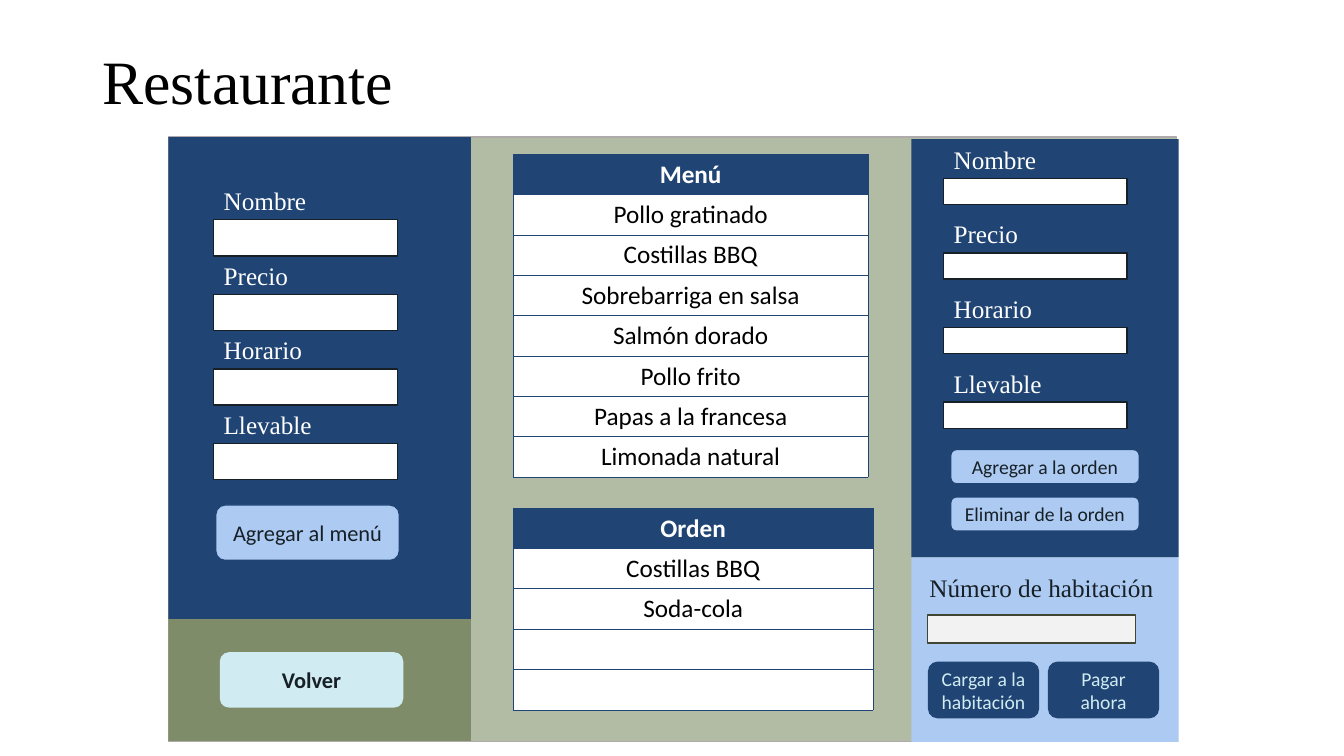
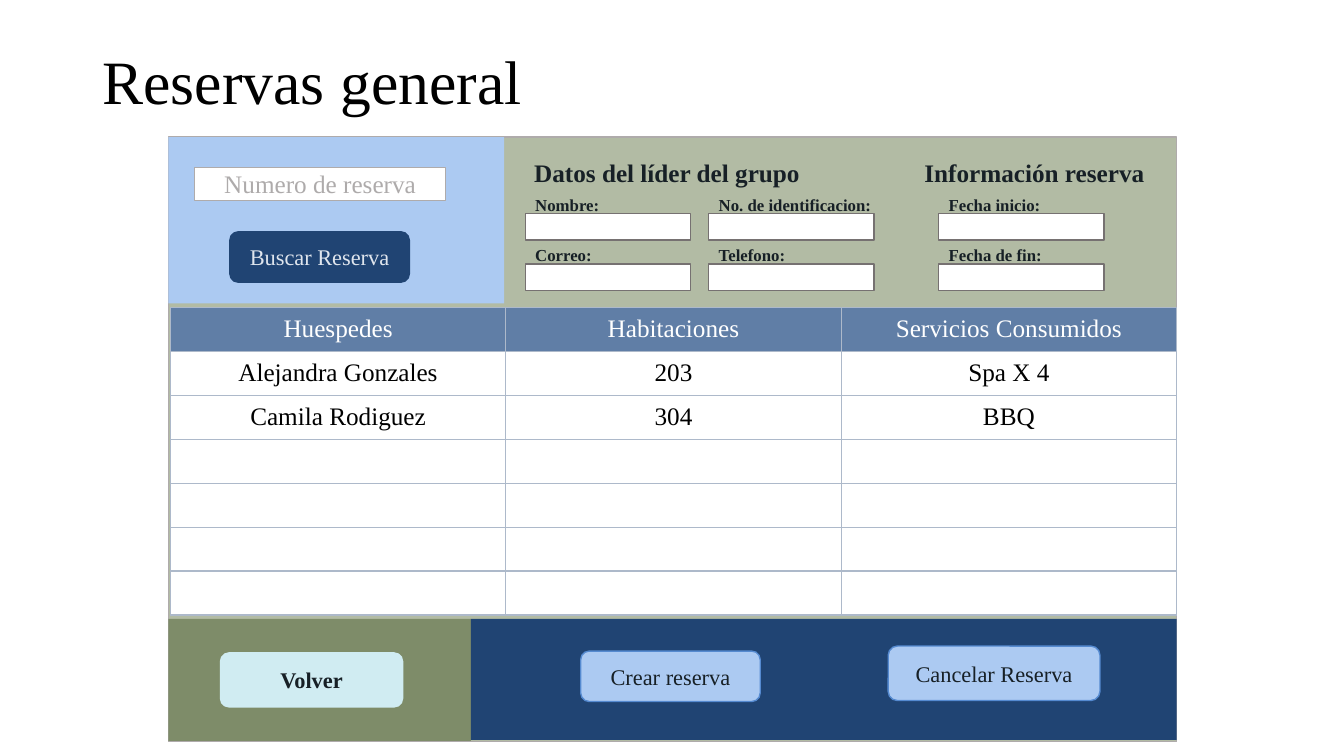
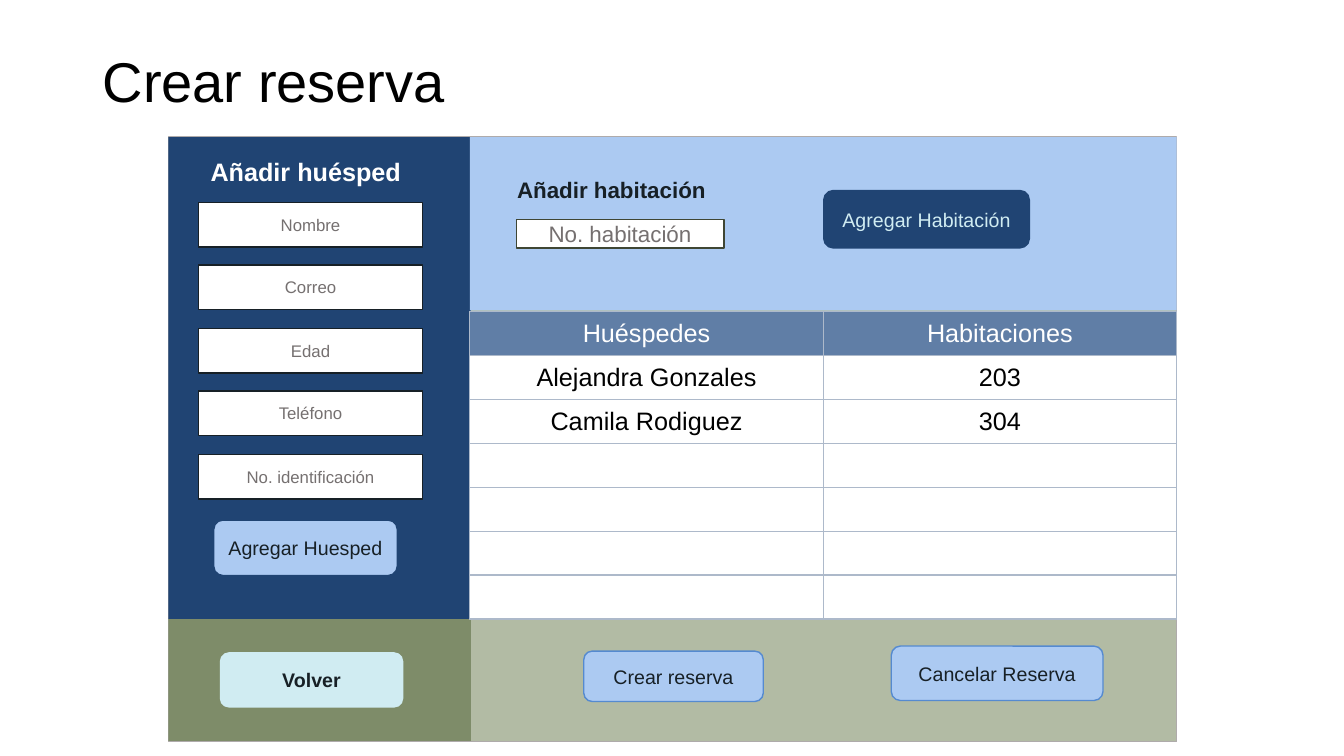
"""Builds three mock-up screens of a hotel management application."""
from lxml.etree import SubElement
from pptx import Presentation
from pptx.dml.color import RGBColor
from pptx.enum.shapes import MSO_SHAPE as Shape
from pptx.enum.text import MSO_ANCHOR as Anchor, PP_ALIGN as Align
from pptx.oxml.ns import qn
from pptx.util import Pt

SCALE = 9144
SERIF, SANS, BODY = "Times New Roman", "Arial", "Calibri"
WHITE, BLACK, INK = "FFFFFF", "000000", "172026"
NAVY, SKY, ICE, STEEL = "204473", "ACCAF2", "D0ECF2", "607EA6"
SAGE, OLIVE, MOSS = "B2BBA4", "7E8C69", "3F4634"
SILVER, GRAY, HINT, EDGE, GRID = "AFABAB", "767171", "757070", "558AD0", "ADB9CA"


def px(length):
    return length * SCALE


def color(code):
    return RGBColor.from_string(code)


def write(frame, text, *, size, font, ink=INK, bold=False, align=Align.CENTER,
          anchor=Anchor.MIDDLE, spacing=None):
    frame.word_wrap = True
    frame.vertical_anchor = anchor
    paragraph = frame.paragraphs[0]
    paragraph.alignment = align
    paragraph.line_spacing = spacing
    run = paragraph.add_run()
    run.text = text
    run.font.size = Pt(size)
    run.font.name = font
    run.font.bold = bold
    run.font.color.rgb = color(ink)


class Screens:
    def __init__(self):
        self.deck = Presentation()
        self.deck.slide_width, self.deck.slide_height = px(1333), px(750)

    def start(self, title, title_size, title_font, font, size):
        self.slide = self.deck.slides.add_slide(self.deck.slide_layouts[6])
        self.font, self.size = font, size
        self.label(title, 92, 40, 1150, 88, size=title_size, font=title_font,
                   ink=BLACK, anchor=Anchor.MIDDLE, spacing=0.9)
        self.panel(167, 136, 1000, 600, SAGE, SILVER)
        self.panel(167, 614, 300, 121, OLIVE)
        self.button("Volver", 218, 647, 182, 55, fill=ICE, bold=True)

    def panel(self, x, y, width, height, fill=WHITE, line=None, kind=Shape.RECTANGLE):
        panel = self.slide.shapes.add_shape(kind, px(x), px(y), px(width), px(height))
        panel.shadow.inherit = False
        panel.fill.solid()
        panel.fill.fore_color.rgb = color(fill)
        if line:
            panel.line.color.rgb = color(line)
            panel.line.width = Pt(1)
        else:
            panel.line.fill.background()
        return panel

    def label(self, text, x, y, width, height, **style):
        label = self.slide.shapes.add_textbox(px(x), px(y), px(width), px(height))
        defaults = dict(size=18, font=self.font, align=Align.LEFT, anchor=Anchor.TOP)
        write(label.text_frame, text, **(defaults | style))

    def button(self, text, x, y, width, height, fill=SKY, line=None, **style):
        button = self.panel(x, y, width, height, fill, line, Shape.ROUNDED_RECTANGLE)
        write(button.text_frame, text, **(dict(size=self.size, font=self.font) | style))

    def hint(self, text, x, y, width, height, line, size=12, ink=HINT):
        field = self.panel(x, y, width, height, WHITE, line)
        write(field.text_frame, text, size=size, font=self.font, ink=ink)

    def dish_fields(self, x, y, height):
        for index, name in enumerate(["Nombre", "Precio", "Horario", "Llevable"]):
            top = y + 74 * index
            self.panel(x, top + 39, 182, height, line=INK)
            self.label(name, x, top, 163, 40, font=SERIF, ink=WHITE)

    def booking_field(self, text, x, y):
        self.panel(x, y + 24, 164, 26, line=GRAY)
        self.label(text, x, y, 228, 30, size=12, bold=True)

    def booking_buttons(self, x):
        self.button("Crear reserva", x, 646, 178, 50, line=EDGE)
        self.button("Cancelar Reserva", x + 305, 641, 210, 54, line=EDGE)

    def table(self, x, y, width, row_height, row_count, rows, head=STEEL,
              border=GRID, border_width=1, bold=False):
        columns = len(rows[0])
        grid = self.slide.shapes.add_table(
            row_count, columns, px(x), px(y), px(width), px(row_height * row_count)).table
        grid.first_row = grid.horz_banding = False
        for row in range(row_count):
            for column in range(columns):
                cell = grid.cell(row, column)
                cell.fill.solid()
                cell.fill.fore_color.rgb = color(WHITE if row else head)
                self.outline(cell, border, border_width)
                if row < len(rows):
                    write(cell.text_frame, rows[row][column], size=18, font=self.font,
                          ink=BLACK if row else WHITE, bold=bold and row == 0)
                    cell.vertical_anchor = Anchor.MIDDLE

    def outline(self, cell, border, width):
        properties = cell._tc.get_or_add_tcPr()
        for index, side in enumerate(["lnL", "lnR", "lnT", "lnB"]):
            edge = SubElement(properties, qn("a:" + side), w=str(Pt(width)))
            fill = SubElement(edge, qn("a:solidFill"))
            SubElement(fill, qn("a:srgbClr"), val=border)
            properties.insert(index, edge)


def restaurant(screens):
    screens.start("Restaurante", 44, SERIF, BODY, 16)
    screens.panel(167, 136, 300, 478, NAVY)
    screens.dish_fields(212, 179, 36)
    screens.button("Agregar al menú", 214, 501, 182, 55, line=NAVY)

    dishes = ["Menú", "Pollo gratinado", "Costillas BBQ", "Sobrebarriga en salsa",
              "Salmón dorado", "Pollo frito", "Papas a la francesa", "Limonada natural"]
    order = ["Orden", "Costillas BBQ", "Soda-cola"]
    for names, y, width, row_count in [(dishes, 153, 352, 8), (order, 504, 357, 5)]:
        screens.table(509, y, width, 40, row_count, [[name] for name in names],
                      head=NAVY, border=NAVY, border_width=0.5, bold=True)

    screens.panel(904, 138, 265, 415, NAVY)
    screens.dish_fields(936, 138, 26)
    screens.button("Agregar a la orden", 943, 446, 187, 34, line=NAVY, size=14)
    screens.button("Eliminar de la orden", 943, 493, 187, 34, line=NAVY, size=14)

    screens.panel(904, 553, 265, 183, SKY)
    screens.label("Número de habitación", 912, 563, 250, 40, font=SERIF)
    screens.panel(920, 610, 206, 28, "F2F2F2", MOSS)
    for text, x in [("Cargar a la habitación", 921), ("Pagar ahora", 1040)]:
        screens.button(text, x, 657, 109, 55, NAVY, NAVY, size=14, ink=ICE)


def bookings(screens):
    screens.start("Reservas general", 44, SERIF, SERIF, 16)
    screens.panel(467, 614, 700, 120, NAVY)
    screens.booking_buttons(576)

    screens.panel(167, 136, 333, 165, SKY)
    screens.hint("Numero de reserva", 193, 166, 249, 33, SILVER, 18, "AEABAB")
    screens.button("Buscar Reserva", 228, 230, 178, 50, NAVY, NAVY, ink="DFE5ED")

    screens.label("Datos del líder del grupo", 520, 151, 380, 40, bold=True)
    screens.label("Información reserva", 907, 151, 400, 40, bold=True)
    columns = [(521, ["Nombre:", "Correo:"]),
               (703, ["No. de identificacion:", "Telefono:"]),
               (931, ["Fecha inicio:", "Fecha de fin:"])]
    for x, names in columns:
        for index, name in enumerate(names):
            screens.booking_field(name, x, 188 + 50 * index)

    screens.table(169, 305, 998, 43.6, 7, [
        ["Huespedes", "Habitaciones", "Servicios Consumidos"],
        ["Alejandra Gonzales", "203", "Spa X 4"],
        ["Camila Rodiguez", "304", "BBQ"]])


def new_booking(screens):
    screens.start("Crear reserva", 40, SANS, SANS, 14)
    screens.panel(167, 136, 300, 478, NAVY)
    screens.label("Añadir huésped", 199, 150, 233, 40, ink=WHITE, bold=True)
    guest = ["Nombre", "Correo", "Edad", "Teléfono", "No. identificación"]
    for index, name in enumerate(guest):
        screens.hint(name, 197, 201 + 125 * index // 2, 222, 44, INK)
    screens.button("Agregar Huesped", 212, 516, 182, 55, line=NAVY)

    screens.panel(466, 136, 701, 172, SKY)
    screens.label("Añadir habitación", 503, 170, 250, 37, size=16, bold=True)
    screens.hint("No. habitación", 512, 218, 206, 28, MOSS, 16)
    screens.button("Agregar Habitación", 817, 189, 204, 57, NAVY, NAVY, ink=ICE)

    screens.table(466, 309, 701, 43.6, 7, [
        ["Huéspedes", "Habitaciones"],
        ["Alejandra Gonzales", "203"],
        ["Camila Rodiguez", "304"]])
    screens.booking_buttons(579)


def main():
    screens = Screens()
    for build in (restaurant, bookings, new_booking):
        build(screens)
    screens.deck.save("out.pptx")


def px(length):
    return round(length * SCALE)


if __name__ == "__main__":
    main()
